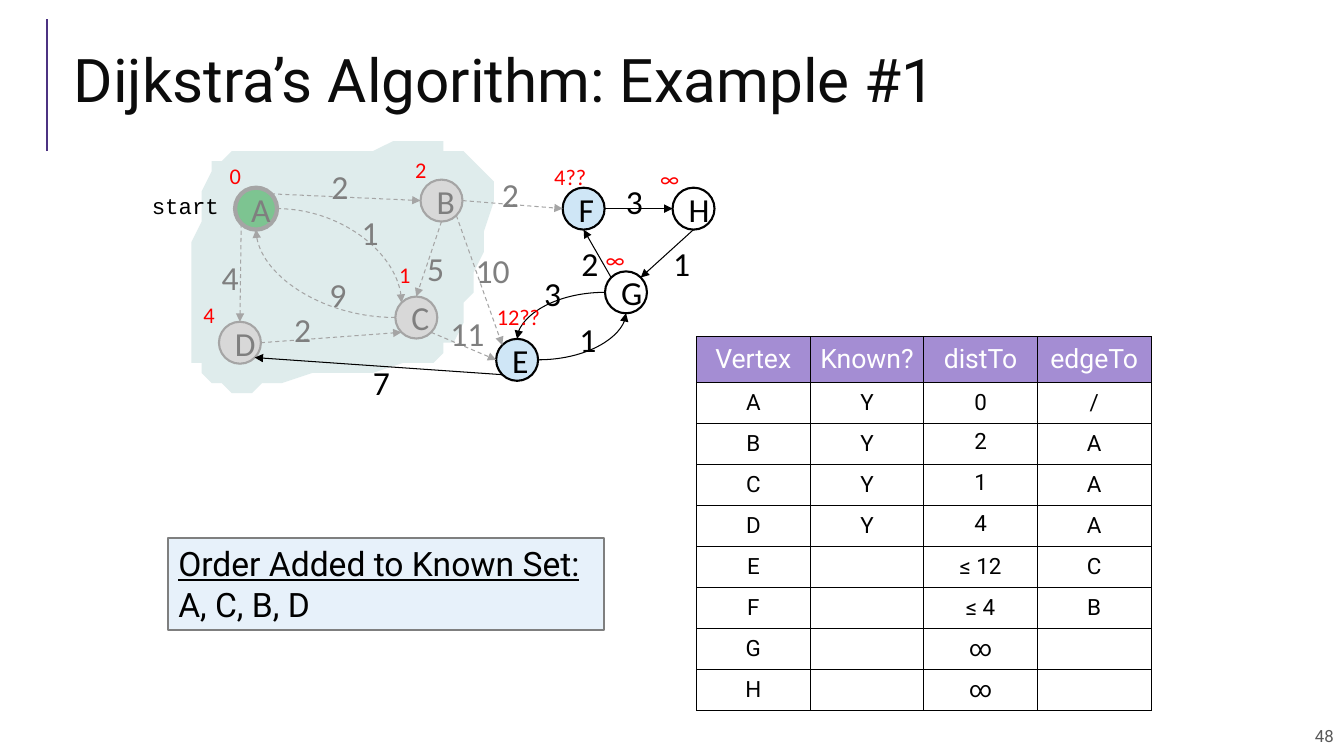
from math import sqrt

from pptx import Presentation
from pptx.dml.color import RGBColor
from pptx.enum.dml import MSO_LINE
from pptx.enum.shapes import MSO_CONNECTOR, MSO_SHAPE
from pptx.enum.text import MSO_ANCHOR, PP_ALIGN
from pptx.oxml.ns import qn
from pptx.oxml.xmlchemy import OxmlElement
from pptx.util import Inches, Pt

# Colours
BLACK = RGBColor(0x00, 0x00, 0x00)
WHITE = RGBColor(0xFF, 0xFF, 0xFF)
INK = RGBColor(0x0C, 0x0C, 0x0C)
RED = RGBColor(0xFF, 0x00, 0x00)
DIM_TEXT = RGBColor(0x7F, 0x7F, 0x7F)
DIM_LINE = RGBColor(0xA5, 0xA5, 0xA5)
PAGE_GREY = RGBColor(0x59, 0x59, 0x59)
START_GREEN = RGBColor(0x7D, 0xC4, 0x91)
KNOWN_GREY = RGBColor(0xD8, 0xD8, 0xD8)
FRONTIER_BLUE = RGBColor(0xCF, 0xE6, 0xF6)
CLOUD_TEAL = RGBColor(0xDF, 0xEC, 0xEC)
ORDER_BLUE = RGBColor(0xE7, 0xF1, 0xFA)
HEADER_PURPLE = RGBColor(0xA4, 0x8D, 0xD3)
RULE_PURPLE = RGBColor(0x4C, 0x32, 0x82)

# Grid of square cells, ten to the inch
COLUMNS, ROWS = 133.33, 75
RADIUS = 2.08
DIAGONAL = RADIUS / sqrt(2)

# Vertex: centre column and row, fill, line colour, line width, text colour
VERTICES = {
    "A": (25.4, 20.7, START_GREEN, DIM_LINE, 3, DIM_TEXT),
    "B": (43.8, 19.9, KNOWN_GREY, DIM_LINE, 1.5, DIM_TEXT),
    "C": (41.3, 31.5, KNOWN_GREY, DIM_LINE, 1.5, DIM_TEXT),
    "D": (23.8, 34.0, KNOWN_GREY, DIM_LINE, 1.5, DIM_TEXT),
    "E": (51.3, 35.7, FRONTIER_BLUE, BLACK, 1.5, BLACK),
    "F": (57.9, 20.7, FRONTIER_BLUE, BLACK, 1.5, BLACK),
    "G": (62.1, 29.0, None, BLACK, 1.5, BLACK),
    "H": (68.8, 20.7, None, BLACK, 1.5, BLACK),
}

# Where an edge touches a vertex
SITES = {
    "N": (0, -RADIUS), "S": (0, RADIUS), "W": (-RADIUS, 0), "E": (RADIUS, 0),
    "NW": (-DIAGONAL, -DIAGONAL), "NE": (DIAGONAL, -DIAGONAL),
    "SW": (-DIAGONAL, DIAGONAL), "SE": (DIAGONAL, DIAGONAL),
}

# Edge: start, site, end, site, weight, weight column and row, dimmed, curved
EDGES = [
    ("A", "E", "C", "NW", "1", 34.9, 20.5, True, True),
    ("C", "W", "A", "S", "9", 31.7, 26.7, True, True),
    ("G", "W", "E", "N", "3", 53.0, 26.6, False, True),
    ("E", "E", "G", "S", "1", 56.5, 31.1, False, True),
    ("A", "SW", "D", "N", "4", 21.0, 25.0, True, False),
    ("D", "E", "C", "SW", "2", 28.2, 30.2, True, False),
    ("A", "NE", "B", "W", "2", 31.9, 16.0, True, False),
    ("B", "E", "F", "W", "2", 48.8, 16.8, True, False),
    ("F", "E", "H", "W", "3", 61.1, 17.5, False, False),
    ("G", "NW", "F", "S", "2", 56.7, 23.6, False, False),
    ("H", "S", "G", "NE", "1", 65.8, 23.6, False, False),
    ("B", "SE", "E", "NW", "10", 46.2, 24.3, True, False),
    ("B", "S", "C", "N", "5", 41.4, 24.1, True, False),
    ("C", "SE", "E", "W", "11", 43.7, 30.6, True, False),
    ("E", "SW", "D", "SE", "7", 36.0, 35.4, False, False),
]

# Distance so far: text, column, row
DISTANCES = [
    ("0", 21.8, 15.6), ("2", 40.2, 15.0), ("1", 38.6, 25.4), ("4", 19.2, 29.4),
    ("12??", 48.3, 29.6), ("4??", 54.0, 15.7), ("∞", 59.1, 23.9), ("∞", 64.5, 15.9),
]

CLOUD = [
    (35.7, 14.9), (33, 15), (30.2, 14.9), (26.3, 14.8), (24.3, 14.9), (22.9, 15.3),
    (22.2, 15.6), (21.3, 16.3), (20.7, 17.3), (20.3, 18.6), (19.9, 20.2), (19.6, 21.5),
    (19.3, 23.7), (19, 25.3), (18.8, 27.8), (18.6, 32.2), (18.6, 34), (18.8, 35.3),
    (19, 36), (19.5, 36.5), (20.1, 37.3), (20.7, 37.9), (21.1, 38.2), (21.7, 38.4),
    (23.4, 38.6), (25, 38.6), (26.4, 38.4), (28.1, 37.9), (31.2, 37), (33.4, 36.7),
    (37.1, 36.6), (40.5, 36.3), (41.9, 36), (42.9, 35.5), (43.7, 34.9), (44.4, 34.5),
    (45, 33.7), (45.5, 32.1), (46, 31.1), (46.4, 30.1), (46.8, 28.7), (47.3, 26.9),
    (47.9, 25.1), (48.5, 23.1), (48.7, 20.4), (48.6, 18.2), (48.2, 17.2), (47.8, 16.8),
    (47.2, 16.3), (46.6, 15.5), (45.6, 15.1), (44.4, 14.7), (43.5, 14.5), (42.1, 14.4),
    (38.9, 14.5), (37.2, 14.8),
]

HEADER = ["Vertex", "Known?", "distTo", "edgeTo"]
TABLE_ROWS = [
    ("A", "Y", "0", "/"), ("B", "Y", "2", "A"), ("C", "Y", "1", "A"), ("D", "Y", "4", "A"),
    ("E", "", "≤ 12", "C"), ("F", "", "≤ 4", "B"), ("G", "", "∞", ""), ("H", "", "∞", ""),
]
RAISED_CELLS = [(2, 2), (3, 2), (4, 2)]


def cells(*counts):
    return [Inches(count / 10) for count in counts]


def format_font(para, name, size, color, align=PP_ALIGN.LEFT):
    para.alignment = align
    para.font.name = name
    para.font.size = Pt(size)
    para.font.color.rgb = color


def add_label(page, text, place, font, anchor=MSO_ANCHOR.TOP, align=PP_ALIGN.LEFT):
    frame = page.shapes.add_textbox(*cells(*place)).text_frame
    frame.word_wrap = True
    frame.vertical_anchor = anchor
    frame.text = text
    format_font(frame.paragraphs[0], *font, align)


def add_line(page, start, end, color, width, kind=MSO_CONNECTOR.STRAIGHT):
    line = page.shapes.add_connector(kind, *cells(*start, *end))
    line.line.color.rgb = color
    line.line.width = Pt(width)
    line._element.spPr.append(OxmlElement("a:effectLst"))
    return line


def add_box(page, kind, place, fill, color, width):
    box = page.shapes.add_shape(kind, *cells(*place))
    box.shadow.inherit = False
    if fill is None:
        box.fill.background()
    else:
        box.fill.solid()
        box.fill.fore_color.rgb = fill
    box.line.color.rgb = color
    box.line.width = Pt(width)
    return box


def add_cloud(page):
    builder = page.shapes.build_freeform(*CLOUD[0], scale=Inches(0.1))
    builder.add_line_segments(CLOUD[1:])
    cloud = builder.convert_to_shape()
    cloud.shadow.inherit = False
    cloud.fill.solid()
    cloud.fill.fore_color.rgb = CLOUD_TEAL
    cloud.line.fill.background()


def add_vertex(page, name):
    column, row, fill, color, width, text_color = VERTICES[name]
    place = (column - RADIUS, row - RADIUS, 2 * RADIUS, 2 * RADIUS)
    frame = add_box(page, MSO_SHAPE.OVAL, place, fill, color, width).text_frame
    frame.vertical_anchor = MSO_ANCHOR.MIDDLE
    frame.text = name
    format_font(frame.paragraphs[0], "Calibri", 24, text_color, PP_ALIGN.CENTER)


def touch_point(vertex, site):
    return [centre + shift for centre, shift in zip(VERTICES[vertex], SITES[site])]


def add_edge(page, start, start_site, end, end_site, dimmed, curved):
    kind = MSO_CONNECTOR.CURVE if curved else MSO_CONNECTOR.STRAIGHT
    line = add_line(page, touch_point(start, start_site), touch_point(end, end_site),
                    DIM_LINE if dimmed else BLACK, 0.75, kind)
    if curved:
        line._element.spPr.find(qn("a:prstGeom")).set("prst", "curvedConnector2")
    if dimmed:
        line.line.dash_style = MSO_LINE.DASH
    arrow = OxmlElement("a:tailEnd")
    arrow.set("type", "triangle")
    line.line._get_or_add_ln().append(arrow)


def add_graph(page):
    add_cloud(page)
    for name in VERTICES:
        add_vertex(page, name)
    for *ends, weight, column, row, dimmed, curved in EDGES:
        add_edge(page, *ends, dimmed, curved)
        add_label(page, weight, (column, row, 2 + 1.7 * len(weight), 5),
                  ("Calibri", 24, DIM_TEXT if dimmed else BLACK))
    for text, column, row in DISTANCES:
        add_label(page, text, (column, row, 2.4 + 1.1 * len(text), 3.7), ("Calibri", 16, RED))
    add_label(page, "start", (12.4, 17.8, 10.3, 5.2), ("Courier New", 16, BLACK),
              MSO_ANCHOR.MIDDLE, PP_ALIGN.RIGHT)


def add_borders(cell):
    properties = cell._tc.get_or_add_tcPr()
    for index, side in enumerate(("a:lnL", "a:lnR", "a:lnT", "a:lnB")):
        border = OxmlElement(side)
        border.set("w", str(Pt(0.75)))
        fill = OxmlElement("a:solidFill")
        color = OxmlElement("a:srgbClr")
        color.set("val", str(BLACK))
        fill.append(color)
        border.append(fill)
        properties.insert(index, border)


def add_distance_table(page):
    content = [HEADER, *TABLE_ROWS]
    table = page.shapes.add_table(len(content), len(HEADER), *cells(69.1, 33.4, 45.1, 36.5)).table
    table.first_row = table.horz_banding = False
    for index, values in enumerate(content):
        table.rows[index].height = Inches(0.4 if index else 0.45)
        for column, value in enumerate(values):
            cell = table.cell(index, column)
            raised = (index, column) in RAISED_CELLS
            cell.vertical_anchor = MSO_ANCHOR.TOP if raised else MSO_ANCHOR.MIDDLE
            cell.margin_left = cell.margin_right = Inches(0.07)
            cell.margin_top = cell.margin_bottom = Inches(0.07 if value and not raised else 0.05)
            cell.text = value
            para = cell.text_frame.paragraphs[0]
            if index:
                cell.fill.background()
                format_font(para, "Roboto", 16, BLACK, PP_ALIGN.CENTER)
            else:
                cell.fill.solid()
                cell.fill.fore_color.rgb = HEADER_PURPLE
                format_font(para, "Roboto", 19, WHITE, PP_ALIGN.CENTER)
            add_borders(cell)


def add_order_box(page):
    box = add_box(page, MSO_SHAPE.RECTANGLE, (16.7, 53.4, 43.2, 9.1), ORDER_BLUE, DIM_TEXT, 1.5)
    frame = box.text_frame
    frame.vertical_anchor = MSO_ANCHOR.TOP
    frame.text = "Order Added to Known Set:\nA, C, B, D"
    for para in frame.paragraphs:
        format_font(para, "Roboto", 24, BLACK)
    frame.paragraphs[0].font.underline = True


def add_title(page):
    title = page.shapes.title
    title.left, title.top, title.width, title.height = cells(6.3, 2.9, 122.3, 11.1)
    frame = title.text_frame
    frame.text = "Dijkstra’s Algorithm: Example #1"
    frame.vertical_anchor = MSO_ANCHOR.MIDDLE
    format_font(frame.paragraphs[0], "Roboto", 43, INK)
    frame.paragraphs[0].line_spacing = 0.8


def main():
    deck = Presentation()
    deck.slide_width, deck.slide_height = cells(COLUMNS, ROWS)
    page = deck.slides.add_slide(deck.slide_layouts[5])
    add_line(page, (4.7, 15), (4.7, 1.9), RULE_PURPLE, 1.5)
    add_title(page)
    add_graph(page)
    add_distance_table(page)
    add_order_box(page)
    add_label(page, "48", (86.5, 71, 46.8, 4), ("Roboto", 12, PAGE_GREY),
              MSO_ANCHOR.MIDDLE, PP_ALIGN.RIGHT)
    deck.save("out.pptx")


if __name__ == "__main__":
    main()
